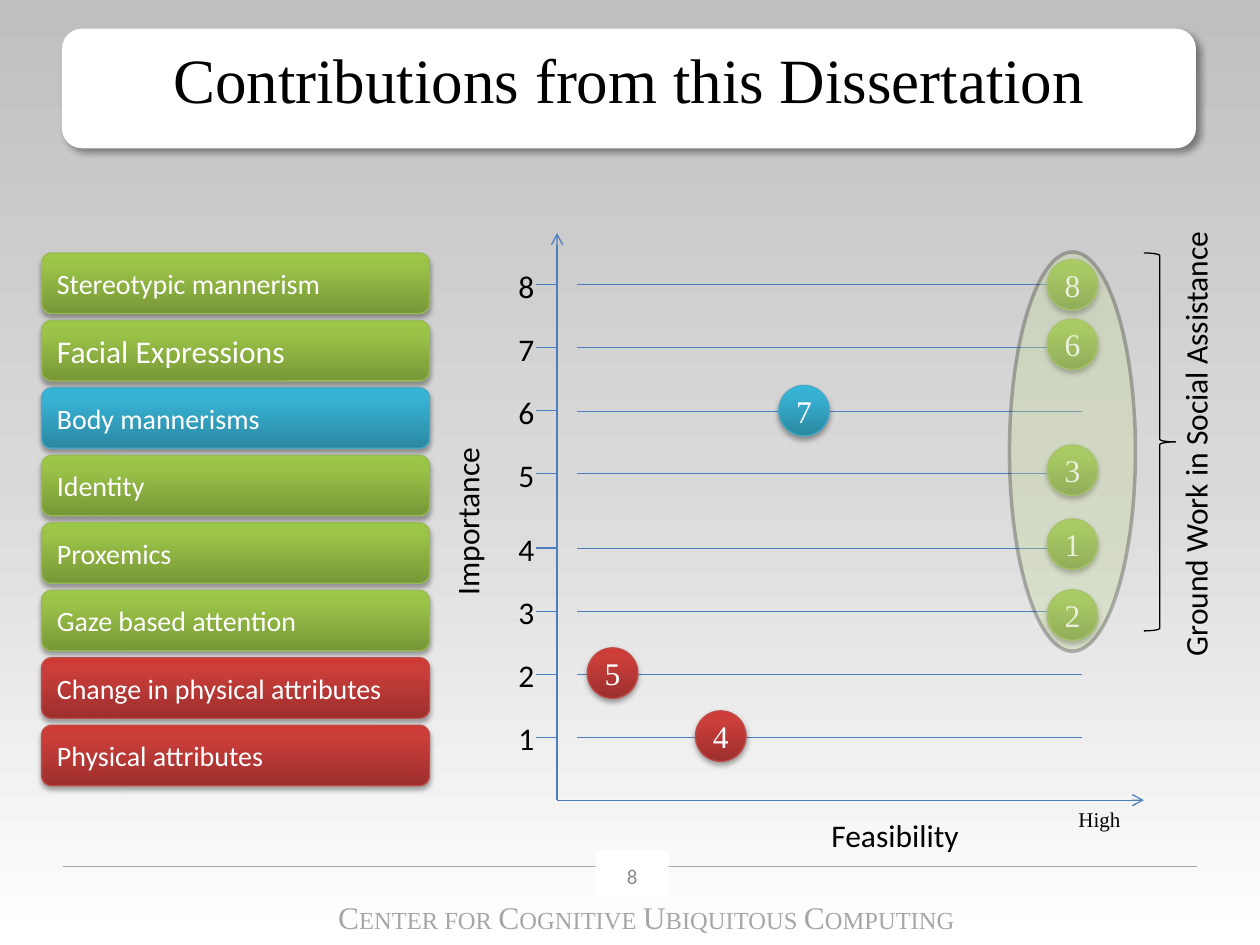
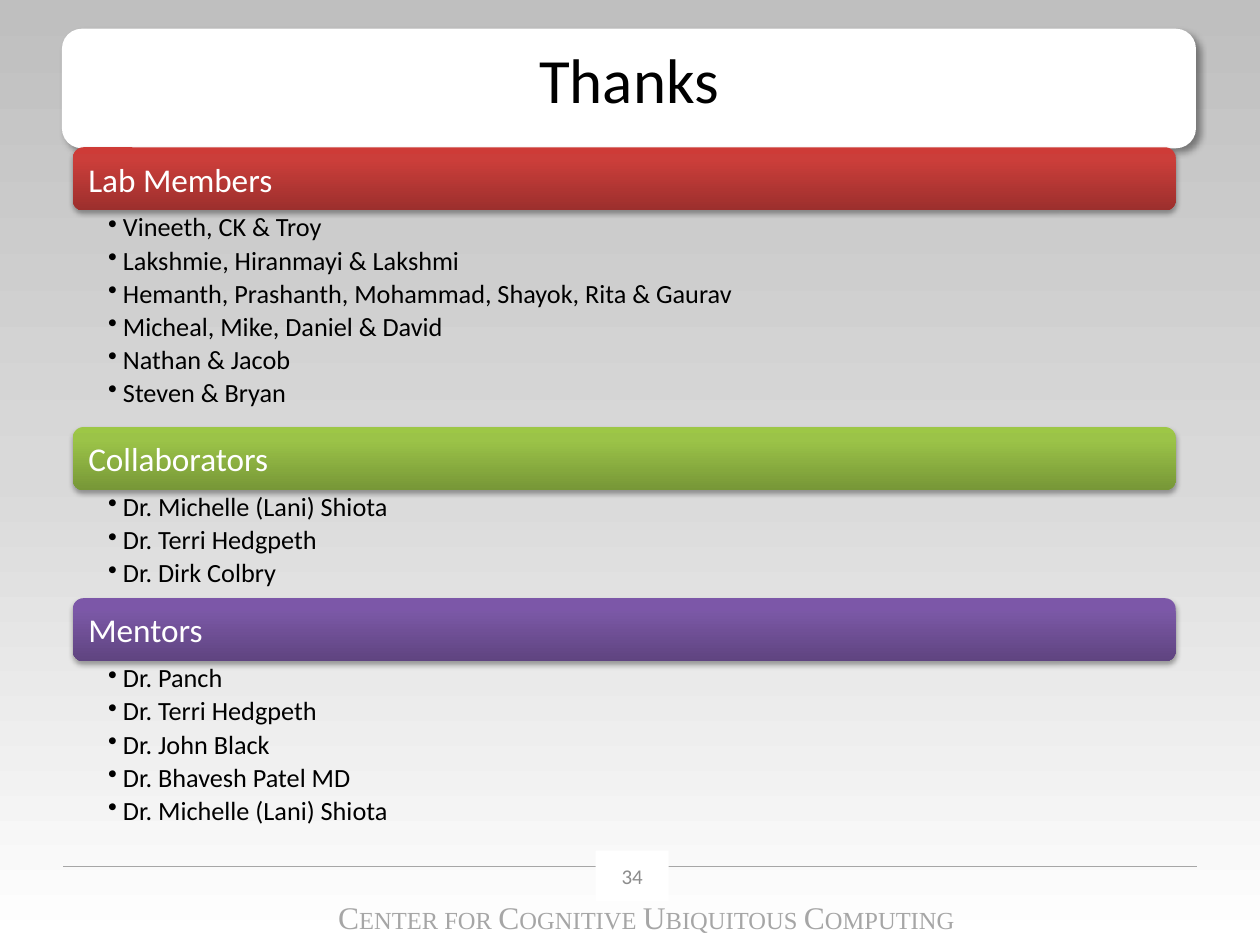
"""Build a slide plotting research contributions and a slide of thanks."""
from lxml.etree import SubElement as Sub
from pptx import Presentation
from pptx.dml.color import RGBColor as Rgb
from pptx.enum.dml import MSO_LINE as Dash
from pptx.enum.shapes import MSO_CONNECTOR as Link, MSO_SHAPE as Kind
from pptx.enum.text import MSO_ANCHOR as Anchor, PP_ALIGN as Align
from pptx.oxml.ns import qn
from pptx.util import Cm, Pt

HUES = {"white": "FFFFFF", "black": "000000", "grey": "A6A6A6",
        "count": "8C8C8C", "axis": "4B7EBC", "zone": "C3D69B"}
RAMPS = {
    "back": [(0, "BFBFBF"), (50, "D9D9D9"), (100, "FFFFFF")],
    "green": [(0, "9DC746"), (20, "9BC348"), (100, "779737")],
    "blue": [(0, "34B4D6"), (20, "37B1D2"), (100, "2A88A2")],
    "red": [(0, "CE3B37"), (20, "CB3E3A"), (100, "9C2F2D")],
    "purple": [(0, "7C57A8"), (20, "7B58A6"), (100, "5F4480")],
}
EDGES = {"green": "98B955", "blue": "46AAC5", "red": "BF4C48"}
SOFT = (35, 3.1, 1.8, 90)
DEEP = (40, 4, 3, 45)
SANS, SERIF = "Calibri", "Times New Roman"


def draw(page, kind, box, fill=None, edge=None, width=0.75, shade=None):
    """Add a shape with a flat or ramped fill, an outline and a shadow."""
    shape = page.shapes.add_shape(kind, *map(Cm, box))
    shape.shadow.inherit = False
    if fill in RAMPS:
        shape.fill.gradient()
        shape.fill.gradient_angle = 270
        stops = shape._element.spPr.find(".//" + qn("a:gsLst"))
        stops.clear()
        for place, hue in RAMPS[fill]:
            stop = Sub(stops, qn("a:gs"), pos=str(place * 1000))
            Sub(stop, qn("a:srgbClr"), val=hue)
    elif fill:
        shape.fill.solid()
        shape.fill.fore_color.rgb = Rgb.from_string(HUES[fill])
    else:
        shape.fill.background()
    if edge:
        shape.line.color.rgb = Rgb.from_string(edge)
        shape.line.width = Pt(width)
    else:
        shape.line.fill.background()
    if shade:
        alpha, blur, dist, angle = shade
        cast = Sub(shape._element.spPr.find(qn("a:effectLst")), qn("a:outerShdw"),
                   blurRad=str(Pt(blur)), dist=str(Pt(dist)),
                   dir=str(angle * 60000), algn="ctr", rotWithShape="0")
        tint = Sub(cast, qn("a:srgbClr"), val=HUES["black"])
        Sub(tint, qn("a:alpha"), val=str(alpha * 1000))
    return shape


def write(shape, text, size, font=SANS, hue="black", align=Align.LEFT,
          anchor=Anchor.TOP, wrap=True):
    """Fill a shape with text in one style."""
    frame = shape.text_frame
    frame.text = text
    frame.word_wrap = wrap
    frame.vertical_anchor = anchor
    for para in frame.paragraphs:
        para.alignment = align
        for run in para.runs:
            run.font.size = Pt(size)
            run.font.name = font
            run.font.color.rgb = Rgb.from_string(HUES[hue])
    return frame


deck = Presentation()
deck.slide_width, deck.slide_height = Cm(25.4), Cm(19.05)

levels = [14.86 - 1.27 * i - (0.23 if i > 3 else 0) for i in range(8)]
rule = (1.27, 17.47, 24.13, 17.47, "grey", 0.75, "plain")
axes = [(11.23, 16.13, 23.06, 16.13, "axis", 0.75, "arrow"),
        (11.23, 16.13, 11.23, 4.7, "axis", 0.75, "arrow")]
ticks = [(10.8, y, 11.23, y, "axis", 0.75, "plain") for y in levels]
grid = [(11.63, y, 21.79, y, "axis", 0.25, "dots") for y in levels]

heads = [("Contributions from this Dissertation", SERIF, "8", [rule] + axes + ticks + grid),
         ("Thanks", SANS, "34", [rule])]
caps = ["C", "ENTER FOR ", "C", "OGNITIVE ", "U", "BIQUITOUS ", "C", "OMPUTING"]

pages = []
for title, font, count, lines in heads:
    page = deck.slides.add_slide(deck.slide_layouts[6])
    pages.append(page)
    draw(page, Kind.RECTANGLE, (0, 0, 25.4, 19.05), "back")
    card = draw(page, Kind.ROUNDED_RECTANGLE, (1.25, 0.58, 22.86, 2.41), "white", shade=DEEP)
    write(card, title, 36, font, align=Align.CENTER)

    foot = page.shapes.add_textbox(Cm(5.51), Cm(17.98), Cm(15.04), Cm(1.02))
    foot.text_frame.word_wrap = True
    para = foot.text_frame.paragraphs[0]
    para.alignment = Align.CENTER
    for part in caps:
        run = para.add_run()
        run.text = part
        run.font.size = Pt(18 if len(part) == 1 else 14)
        run.font.name = SERIF
        run.font.color.rgb = Rgb.from_string(HUES["grey"])

    for x1, y1, x2, y2, hue, width, style in lines:
        line = page.shapes.add_connector(Link.STRAIGHT, Cm(x1), Cm(y1), Cm(x2), Cm(y2))
        line.line.color.rgb = Rgb.from_string(HUES[hue])
        line.line.width = Pt(width)
        if style == "dots":
            line.line.dash_style = Dash.ROUND_DOT
        if style == "arrow":
            Sub(line.line._get_or_add_ln(), qn("a:tailEnd"), type="arrow")
        Sub(line._element.spPr, qn("a:effectLst"))

    badge = draw(page, Kind.RECTANGLE, (12.01, 17.15, 1.47, 1.02), "white")
    write(badge, count, 12, hue="count", align=Align.CENTER, anchor=Anchor.MIDDLE)

plot, thanks = pages

labels = [("Feasibility", 16.51, 16.33, 3.1, 1.02, 0, 18, SANS),
          ("High", 21.49, 16.13, 1.37, 0.76, 0, 12, SERIF),
          ("Importance", 7.65, 9.98, 3.53, 1.02, 270, 18, SANS),
          ("Ground Work in Social Assistance", 19.51, 8.38, 9.17, 1.02, 270, 18, SANS)]
labels += [(str(i), 10.2, y - 0.49, 0.84, 1.02, 0, 18, SANS)
           for i, y in enumerate(levels, 1)]
for text, x, y, w, h, turn, size, font in labels:
    label = plot.shapes.add_textbox(Cm(x), Cm(y), Cm(w), Cm(h))
    label.rotation = turn
    write(label, text, size, font, wrap=False)

dots = [("8", 21.11, 5.23, "green"), ("6", 21.11, 6.43, "green"),
        ("7", 15.7, 7.77, "blue"), ("3", 21.11, 8.97, "green"),
        ("1", 21.11, 10.46, "green"), ("2", 21.11, 11.89, "green"),
        ("5", 11.84, 13.06, "red"), ("4", 14.02, 14.33, "red")]
for text, x, y, hue in dots:
    dot = draw(plot, Kind.OVAL, (x, y, 1.02, 1.02), hue, EDGES[hue], shade=SOFT)
    write(dot, text, 18, SERIF, "white", Align.CENTER, Anchor.MIDDLE, wrap=False)

topics = [("Stereotypic mannerism", "green", 16), ("Facial Expressions", "green", 18),
          ("Body mannerisms", "blue", 16), ("Identity", "green", 16),
          ("Proxemics", "green", 16), ("Gaze based attention", "green", 16),
          ("Change in physical attributes", "red", 16), ("Physical attributes", "red", 16)]
for i, (text, hue, size) in enumerate(topics):
    pill = draw(plot, Kind.ROUNDED_RECTANGLE, (0.84, 5.1 + 1.36 * i, 7.82, 1.22),
                hue, EDGES[hue], shade=SOFT)
    write(pill, text, size, hue="white", anchor=Anchor.MIDDLE)

draw(plot, Kind.RIGHT_BRACE, (23.06, 5.1, 0.64, 7.62), edge=HUES["black"])
zone = draw(plot, Kind.OVAL, (20.35, 5.08, 2.54, 8.05), "zone", HUES["black"], 2)
for tint, alpha in zip(list(zone._element.spPr.iter(qn("a:srgbClr"))), (35, 26)):
    Sub(tint, qn("a:alpha"), val=str(alpha * 1000))

groups = [
    ("Lab Members", "red", 4.37,
     ["Vineeth, CK & Troy", "Lakshmie, Hiranmayi & Lakshmi",
      "Hemanth, Prashanth, Mohammad, Shayok, Rita & Gaurav",
      "Micheal, Mike, Daniel & David", "Nathan & Jacob", "Steven & Bryan"]),
    ("Collaborators", "green", 2.18,
     ["Dr. Michelle (Lani) Shiota", "Dr. Terri Hedgpeth", "Dr. Dirk Colbry"]),
    ("Mentors", "purple", 3.61,
     ["Dr. Panch", "Dr. Terri Hedgpeth", "Dr. John Black",
      "Dr. Bhavesh Patel MD", "Dr. Michelle (Lani) Shiota"]),
]
top = 2.97
for name, hue, tall, people in groups:
    band = draw(thanks, Kind.ROUNDED_RECTANGLE, (1.47, top, 22.23, 1.27), hue, shade=SOFT)
    write(band, name, 19, hue="white", anchor=Anchor.MIDDLE)
    top += 1.27
    body = thanks.shapes.add_textbox(Cm(1.47), Cm(top), Cm(22.23), Cm(tall))
    frame = write(body, "\n".join(people), 15)
    frame.margin_left, frame.margin_right = Cm(0.71), Cm(0.38)
    frame.margin_top = frame.margin_bottom = Cm(0.08)
    for para in frame.paragraphs:
        props = para._p.get_or_add_pPr()
        props.set("marL", str(Cm(0.3)))
        props.set("indent", str(Cm(-0.3)))
        Sub(props, qn("a:buChar"), char="•")
        para.line_spacing = 0.9
        para.space_after = Pt(2.7)
    top += tall

deck.save("out.pptx")
